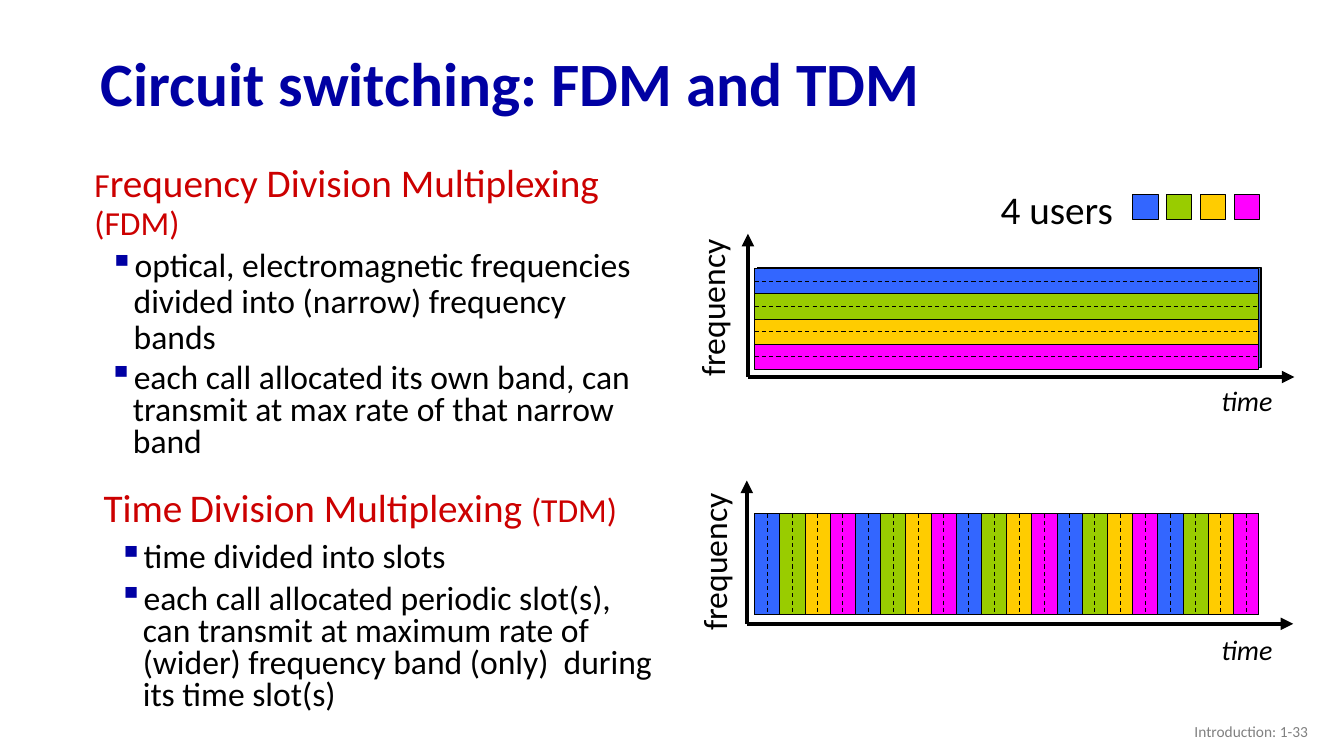
from dataclasses import dataclass
from typing import Optional

import pptx
import pptx.dml.color
import pptx.enum.dml
import pptx.enum.shapes
import pptx.enum.text
import pptx.oxml.ns
import pptx.util
from lxml import etree
from pptx.util import Cm

NAVY = pptx.dml.color.RGBColor(0x00, 0x00, 0xA3)
RED = pptx.dml.color.RGBColor(0xCC, 0x00, 0x00)
BLACK = pptx.dml.color.RGBColor(0x00, 0x00, 0x00)
GREY = pptx.dml.color.RGBColor(0x80, 0x80, 0x80)
FRAME_BLUE = pptx.dml.color.RGBColor(0x44, 0x72, 0xC4)
USER_COLORS = (
    pptx.dml.color.RGBColor(0x33, 0x66, 0xFF),
    pptx.dml.color.RGBColor(0x99, 0xCC, 0x00),
    pptx.dml.color.RGBColor(0xFF, 0xCC, 0x00),
    pptx.dml.color.RGBColor(0xFF, 0x00, 0xFF),
)

FONT = "Calibri"
BAND_LEFT, BAND_LENGTH, BAND_HEIGHT = 19.02, 12.7, 2.54
SLOT_COUNT = 20
CELL = BAND_LENGTH / SLOT_COUNT
AXIS_HEIGHT, AXIS_LENGTH = 3.61, 13.77
TOP, LEFT, BOTTOM, RIGHT = range(4)


@dataclass
class Run:
    text: str
    size: float = 24
    color: pptx.dml.color.RGBColor = BLACK


@dataclass
class Paragraph:
    runs: list[Run]
    bullet: bool = False
    spacing: float = 0.9
    before: float = 0


@dataclass
class TextBlock:
    box: tuple[float, float, float, float]
    paragraphs: list[Paragraph]


@dataclass
class Chart:
    origin: tuple[float, float]
    frequency_at: tuple[float, float]
    time_at: tuple[float, float]
    frame_at: tuple[float, float]
    band_top: float
    by_time: bool


TEXT_BLOCKS = [
    TextBlock((2.13, 4.01, 14.63, 5.51), [
        Paragraph([Run("F", 24, RED), Run("requency Division Multiplexing ", 28, RED),
                   Run("(FDM)", 24, RED)]),
        Paragraph([Run("optical, electromagnetic frequencies divided into (narrow) "
                       "frequency bands")], bullet=True, before=4),
    ]),
    TextBlock((2.36, 12.19, 14.66, 6.86), [
        Paragraph([Run("Time", 28, RED), Run(" ", 24, RED),
                   Run("Division Multiplexing ", 28, RED), Run("(TDM)", 24, RED)]),
        Paragraph([Run("time divided into slots")], bullet=True, before=6),
    ]),
    TextBlock((2.11, 9.04, 14.63, 2.9), [
        Paragraph([Run("each call allocated its own band, can transmit at max rate of "
                       "that narrow band")], bullet=True, spacing=0.8),
    ]),
    TextBlock((2.36, 14.6, 14.66, 3.84), [
        Paragraph([Run("each call allocated periodic slot(s), can transmit at maximum "
                       "rate of (wider) frequency band (only)  during its time slot(s)")],
                  bullet=True, spacing=0.8),
    ]),
]

CHARTS = [
    Chart((18.85, 9.5), (15.95, 7.09), (30.53, 9.53), (19.08, 6.73), 6.77, by_time=False),
    Chart((18.82, 15.72), (16, 13.49), (30.53, 15.82), (19.02, 12.95), 12.95, by_time=True),
]


def write_text(frame, paragraphs: list[Paragraph], *, wrap: bool = True,
               bold: bool = False, italic: bool = False, align=None, anchor=None) -> None:
    frame.word_wrap = wrap
    sizes = pptx.enum.text.MSO_AUTO_SIZE
    frame.auto_size = sizes.NONE if wrap else sizes.SHAPE_TO_FIT_TEXT
    if anchor is not None:
        frame.vertical_anchor = anchor
    for index, item in enumerate(paragraphs):
        paragraph = frame.paragraphs[0] if index == 0 else frame.add_paragraph()
        paragraph.line_spacing = item.spacing
        paragraph.space_before = pptx.util.Pt(item.before)
        paragraph.alignment = align
        if item.bullet:
            add_bullet(paragraph)
        for part in item.runs:
            run = paragraph.add_run()
            run.text = part.text
            run.font.name = FONT
            run.font.size = pptx.util.Pt(part.size)
            run.font.color.rgb = part.color
            run.font.bold = bold
            run.font.italic = italic


def add_bullet(paragraph) -> None:
    properties = paragraph._p.get_or_add_pPr()
    properties.set("marL", str(Cm(0.99)))
    properties.set("indent", str(Cm(-0.61)))
    color = etree.SubElement(properties, pptx.oxml.ns.qn("a:buClr"))
    etree.SubElement(color, pptx.oxml.ns.qn("a:srgbClr"), val=str(NAVY))
    etree.SubElement(properties, pptx.oxml.ns.qn("a:buChar"), char="▪")


def add_text(slide, box: tuple[float, float, float, float],
             paragraphs: list[Paragraph], rotation: float = 0, **text_format):
    textbox = slide.shapes.add_textbox(*map(Cm, box))
    textbox.rotation = rotation
    write_text(textbox.text_frame, paragraphs, **text_format)


def add_label(slide, text: str, box: tuple[float, float, float, float], size: float,
              rotation: float = 0, italic: bool = False) -> None:
    add_text(slide, box, [Paragraph([Run(text, size)], spacing=1)], rotation,
             wrap=False, italic=italic)


def add_cell(slide, left: float, top: float, width: float, height: float, color):
    cell = slide.shapes.add_shape(pptx.enum.shapes.MSO_SHAPE.RECTANGLE,
                                  Cm(left), Cm(top), Cm(width), Cm(height))
    cell.shadow.inherit = False
    cell.fill.solid()
    cell.fill.fore_color.rgb = color
    cell.line.color.rgb = BLACK
    cell.line.width = pptx.util.Pt(0.75)
    return cell


def add_line(slide, start: tuple[float, float], end: tuple[float, float],
             width: float = 0.75, arrow: bool = False, dashed: bool = False):
    line = slide.shapes.add_connector(pptx.enum.shapes.MSO_CONNECTOR.STRAIGHT,
                                      *map(Cm, start + end))
    line.line.color.rgb = BLACK
    line.line.width = pptx.util.Pt(width)
    if dashed:
        line.line.dash_style = pptx.enum.dml.MSO_LINE.DASH
    if arrow:
        etree.SubElement(line.line._get_or_add_ln(), pptx.oxml.ns.qn("a:tailEnd"),
                         type="triangle")
    etree.SubElement(line._element.spPr, pptx.oxml.ns.qn("a:effectLst"))
    return line


def draw_chart(slide, chart: Chart) -> None:
    # Axes and their labels
    x, y = chart.origin
    add_line(slide, chart.origin, (x, y - AXIS_HEIGHT), 3, arrow=True)
    add_line(slide, chart.origin, (x + AXIS_LENGTH, y), 3, arrow=True)
    add_label(slide, "frequency", chart.frequency_at + (4.01, 1.3), 24, rotation=270)
    add_label(slide, "time", chart.time_at + (1.85, 1.12), 20, italic=True)

    # Frame with one cell per band or slot
    add_cell(slide, *chart.frame_at, BAND_LENGTH, BAND_HEIGHT, FRAME_BLUE)
    step_x, step_y = (CELL, 0) if chart.by_time else (0, CELL)
    width, height = (CELL, BAND_HEIGHT) if chart.by_time else (BAND_LENGTH, CELL)
    corners = [(BAND_LEFT + i * step_x, chart.band_top + i * step_y)
               for i in range(SLOT_COUNT if chart.by_time else len(USER_COLORS))]
    cells = [add_cell(slide, *corner, width, height, USER_COLORS[i % len(USER_COLORS)])
             for i, corner in enumerate(corners)]

    # Solid separators, then dashed centre lines
    run_x, run_y = (0, BAND_HEIGHT) if chart.by_time else (BAND_LENGTH, 0)
    for left, top in corners[1:]:
        add_line(slide, (left, top), (left + run_x, top + run_y))
    first_side, last_side = (TOP, BOTTOM) if chart.by_time else (LEFT, RIGHT)
    for cell, (left, top) in zip(cells, corners):
        center_line = add_line(slide, (left, top), (left + run_x, top + run_y), dashed=True)
        center_line.begin_connect(cell, first_side)
        center_line.end_connect(cell, last_side)


def main() -> None:
    presentation = pptx.Presentation()
    presentation.slide_width, presentation.slide_height = Cm(33.87), Cm(19.05)
    slide = presentation.slides.add_slide(presentation.slide_layouts[5])

    # Title
    title = slide.shapes.title
    title.left, title.top, title.width, title.height = map(Cm, (2.29, 0.94, 29.21, 2.49))
    write_text(title.text_frame,
               [Paragraph([Run("Circuit switching: FDM and TDM", 44, NAVY)])], bold=True,
               align=pptx.enum.text.PP_ALIGN.LEFT, anchor=pptx.enum.text.MSO_ANCHOR.MIDDLE)

    # Diagrams
    for chart in CHARTS:
        draw_chart(slide, chart)

    # Legend
    add_label(slide, "4 users", (24.97, 4.55, 3.38, 1.45), 28)
    for i, color in enumerate(USER_COLORS):
        add_cell(slide, 28.55 + i * 0.85, 4.9, CELL, CELL, color)

    # Explanations
    for block in TEXT_BLOCKS:
        add_text(slide, block.box, block.paragraphs)

    # Page number
    add_text(slide, (25.6, 17.91, 7.62, 1.02),
             [Paragraph([Run("Introduction: 1-33", 11, GREY)], spacing=1)],
             align=pptx.enum.text.PP_ALIGN.RIGHT, anchor=pptx.enum.text.MSO_ANCHOR.MIDDLE)

    presentation.save("out.pptx")


if __name__ == "__main__":
    main()
